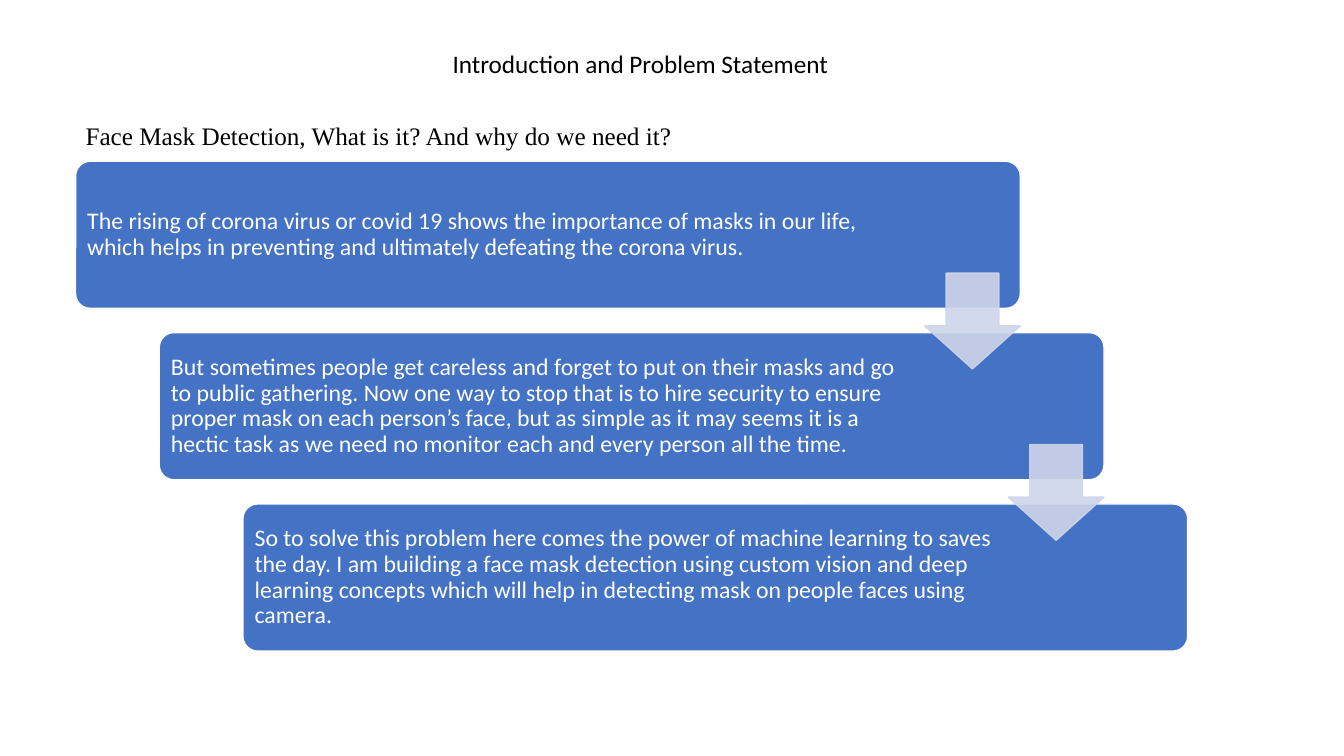
"""Build the face mask detection introduction slide."""
import pptx
import pptx.dml.color
import pptx.enum.shapes
import pptx.enum.text
import pptx.oxml.ns
import pptx.util
from lxml import etree

Inches, Pt = pptx.util.Inches, pptx.util.Pt
RGBColor = pptx.dml.color.RGBColor
MSO_SHAPE = pptx.enum.shapes.MSO_SHAPE
MSO_ANCHOR = pptx.enum.text.MSO_ANCHOR
qn = pptx.oxml.ns.qn

HEADINGS = [
    ("Introduction and Problem Statement", "Calibri", 4.39, 0.43, 3.97),
    ("Face Mask Detection, What is it? And why do we need it?", "Times New Roman", 0.75, 1.14, 6.14),
]
STEPS = [
    ("The rising of corona virus or covid 19 shows the importance of masks in our life, "
     "which helps in preventing and ultimately defeating the corona virus.", 7.79),
    ("But sometimes people get careless and forget to put on their masks and go to public "
     "gathering. Now one way to stop that is to hire security to ensure proper mask on each "
     "person’s face, but as simple as it may seems it is a hectic task as we need no monitor "
     "each and every person all the time.", 7.51),
    ("So to solve this problem here comes the power of machine learning to saves the day. "
     "I am building a face mask detection using custom vision and deep learning concepts "
     "which will help in detecting mask on people faces using camera.", 7.51),
]
BLACK = RGBColor(0x00, 0x00, 0x00)
WHITE = RGBColor(0xFF, 0xFF, 0xFF)
BLUE = RGBColor(0x44, 0x72, 0xC4)
PALE = RGBColor(0xCF, 0xD5, 0xEA)

LEFT, TOP = 0.75, 1.6
STEP_X, STEP_Y = 0.83, 1.7
CARD_W, CARD_H = 9.37, 1.46
INSET = 0.045
ARROW_X, ARROW_Y, ARROW = 9.17, 2.71, 0.95


def add_shape(slide, kind, box, adjustments, fill, line):
    sp = slide.shapes.add_shape(kind, *map(Inches, box))
    sp.shadow.inherit = False
    for i, value in enumerate(adjustments):
        sp.adjustments[i] = value
    sp.fill.solid()
    sp.fill.fore_color.rgb = fill
    sp.line.color.rgb = line
    sp.line.width = Pt(1)
    return sp


def add_text(slide, text, box, font, size, color, wrap):
    tf = slide.shapes.add_textbox(*map(Inches, box)).text_frame
    tf.word_wrap = wrap
    p = tf.paragraphs[0]
    p.text = text
    p.font.name, p.font.size, p.font.color.rgb = font, Pt(size), color
    return tf


def add_step(slide, i, text, width):
    x, y = LEFT + i * STEP_X, TOP + i * STEP_Y
    add_shape(slide, MSO_SHAPE.ROUNDED_RECTANGLE, (x, y, CARD_W, CARD_H), [0.1], BLUE, WHITE)
    box = (x + INSET, y + INSET, width, CARD_H - 2 * INSET)
    tf = add_text(slide, text, box, "Calibri", 17, WHITE, True)
    tf.vertical_anchor = MSO_ANCHOR.MIDDLE
    tf.margin_left = tf.margin_right = tf.margin_top = tf.margin_bottom = Inches(0.07)
    tf.paragraphs[0].line_spacing = 0.9


def add_arrow(slide, i):
    box = (ARROW_X + i * STEP_X, ARROW_Y + i * STEP_Y, ARROW, ARROW)
    sp = add_shape(slide, MSO_SHAPE.DOWN_ARROW, box, [0.55, 0.45], PALE, PALE)
    for color in sp.element.spPr.iter(qn("a:srgbClr")):
        etree.SubElement(color, qn("a:alpha")).set("val", "90000")


def main():
    prs = pptx.Presentation()
    prs.slide_width, prs.slide_height = Inches(13.33), Inches(7.5)
    slide = prs.slides.add_slide(prs.slide_layouts[6])
    for text, font, x, y, width in HEADINGS:
        add_text(slide, text, (x, y, width, 0.71), font, 18, BLACK, False)
    for i, (text, width) in enumerate(STEPS):
        add_step(slide, i, text, width)
    for i in range(len(STEPS) - 1):
        add_arrow(slide, i)
    prs.save("out.pptx")


if __name__ == "__main__":
    main()
